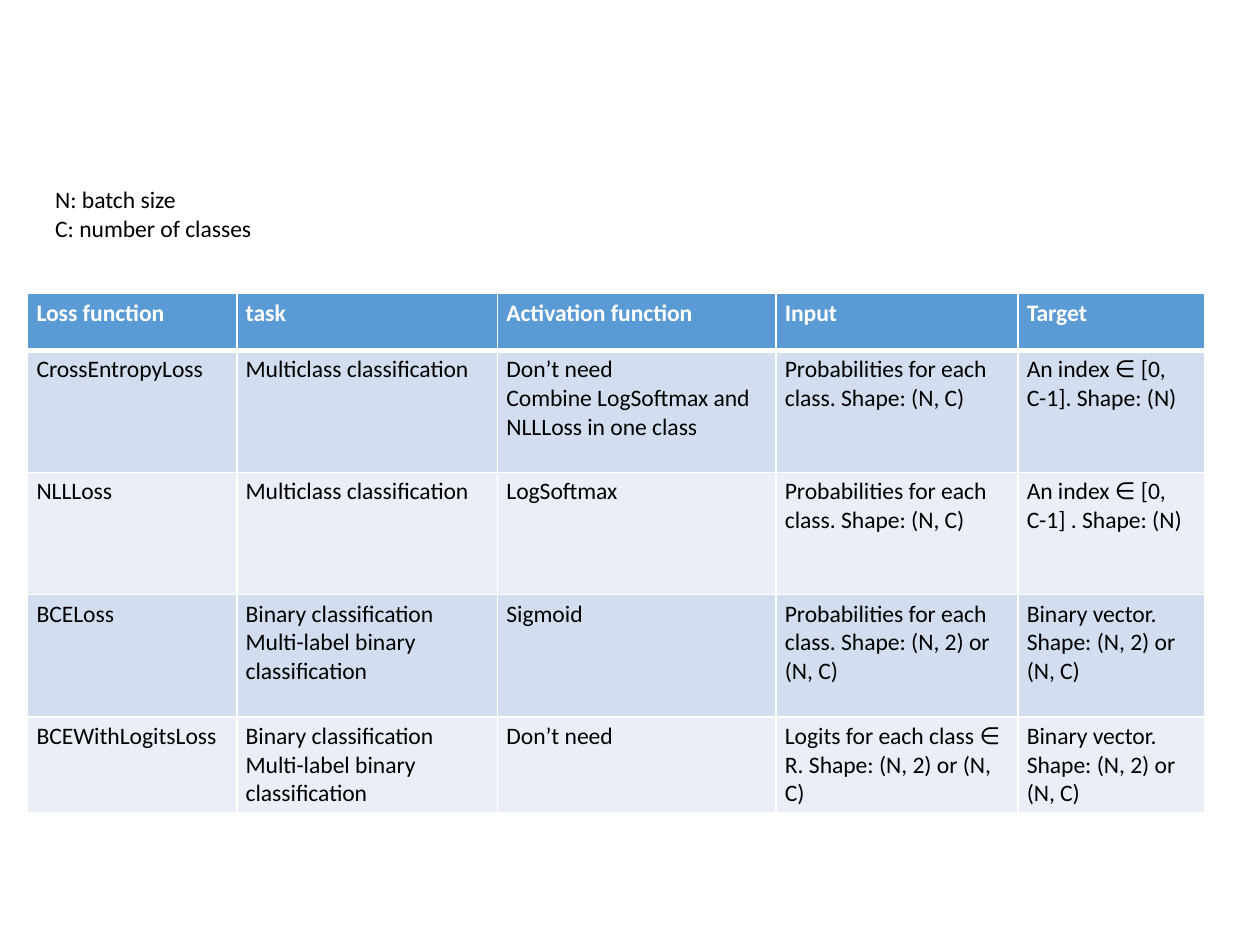
from dataclasses import dataclass

from lxml.etree import SubElement
from pptx import Presentation
from pptx.dml.color import RGBColor as Color
from pptx.enum.text import MSO_AUTO_SIZE as AutoSize
from pptx.oxml.ns import qn
from pptx.util import Inches, Pt

# Content
NOTES = ["N: batch size", "C: number of classes"]
HEADER = ["Loss function", "task", "Activation function", "Input", "Target"]
BINARY_TASKS = "Binary classification\nMulti-label binary classification"
BINARY_TARGET = "Binary vector. Shape: (N, 2) or (N, C)"
CLASS_INPUT = "Probabilities for each class. Shape: (N, C)"
LOSSES = [
    ["CrossEntropyLoss", "Multiclass classification",
     "Don’t need\nCombine LogSoftmax and NLLLoss in one class",
     CLASS_INPUT, "An index ∈ [0, C-1]. Shape: (N)"],
    ["NLLLoss", "Multiclass classification", "LogSoftmax",
     CLASS_INPUT, "An index ∈ [0, C-1] . Shape: (N)"],
    ["BCELoss", BINARY_TASKS, "Sigmoid",
     "Probabilities for each class. Shape: (N, 2) or (N, C)", BINARY_TARGET],
    ["BCEWithLogitsLoss", BINARY_TASKS, "Don’t need",
     "Logits for each class ∈ R. Shape: (N, 2) or (N, C)", BINARY_TARGET],
]

# Layout in inches
TABLE_LEFT, TABLE_TOP = 0.22, 2.33
COLUMN_WIDTHS = [1.66, 2.07, 2.21, 1.92, 1.48]
ROW_HEIGHTS = [0.45, 0.97, 0.97, 0.97, 0.75]
NOTES_BOX = (0.34, 1.42, 1.97, 0.55)


@dataclass(frozen=True)
class Theme:
    font: str = "Calibri"
    size: float = 13.5
    text: str = "000000"
    header_text: str = "FFFFFF"
    header_fill: str = "5B9BD5"
    bands: tuple = ("D2DEEF", "EAEFF7")
    border: str = "FFFFFF"
    thin: float = 1
    thick: float = 3


THEME = Theme()


def style_text(frame, color, bold=False):
    for para in frame.paragraphs:
        for span in para.runs:
            span.font.name = THEME.font
            span.font.size = Pt(THEME.size)
            span.font.bold = bold
            span.font.color.rgb = Color.from_string(color)


def set_borders(cell, widths):
    properties = cell._tc.get_or_add_tcPr()
    for index, (side, width) in enumerate(widths.items()):
        line = SubElement(properties, qn(f"a:ln{side}"), w=str(Pt(width)))
        fill = SubElement(line, qn("a:solidFill"))
        SubElement(fill, qn("a:srgbClr"), val=THEME.border)
        properties.remove(line)
        properties.insert(index, line)  # borders come before the cell fill


def fill_cell(cell, text, row):
    is_header = row == 0
    cell.text_frame.text = text
    style_text(cell.text_frame, THEME.header_text if is_header else THEME.text, is_header)
    cell.margin_left = cell.margin_right = Inches(0.07)
    cell.margin_top = cell.margin_bottom = Inches(0.04)
    cell.fill.solid()
    band = THEME.header_fill if is_header else THEME.bands[(row - 1) % 2]
    cell.fill.fore_color.rgb = Color.from_string(band)
    set_borders(cell, {
        "L": THEME.thin,
        "R": THEME.thin,
        "T": THEME.thick if row == 1 else THEME.thin,
        "B": THEME.thick if is_header else THEME.thin,
    })


def add_loss_table(page):
    rows = [HEADER] + LOSSES
    table = page.shapes.add_table(
        len(rows), len(HEADER), Inches(TABLE_LEFT), Inches(TABLE_TOP),
        Inches(sum(COLUMN_WIDTHS)), Inches(sum(ROW_HEIGHTS))).table
    for column, width in zip(table.columns, COLUMN_WIDTHS):
        column.width = Inches(width)
    for table_row, height in zip(table.rows, ROW_HEIGHTS):
        table_row.height = Inches(height)
    for row, texts in enumerate(rows):
        for column, text in enumerate(texts):
            fill_cell(table.cell(row, column), text, row)


def add_notes(page):
    box = page.shapes.add_textbox(*map(Inches, NOTES_BOX))
    frame = box.text_frame
    frame.text = "\n".join(NOTES)
    frame.word_wrap = False
    frame.auto_size = AutoSize.SHAPE_TO_FIT_TEXT
    style_text(frame, THEME.text)


def main():
    deck = Presentation()
    deck.slide_width, deck.slide_height = Inches(10), Inches(7.5)
    page = deck.slides.add_slide(deck.slide_layouts[6])
    add_loss_table(page)
    add_notes(page)
    deck.save("out.pptx")


if __name__ == "__main__":
    main()
